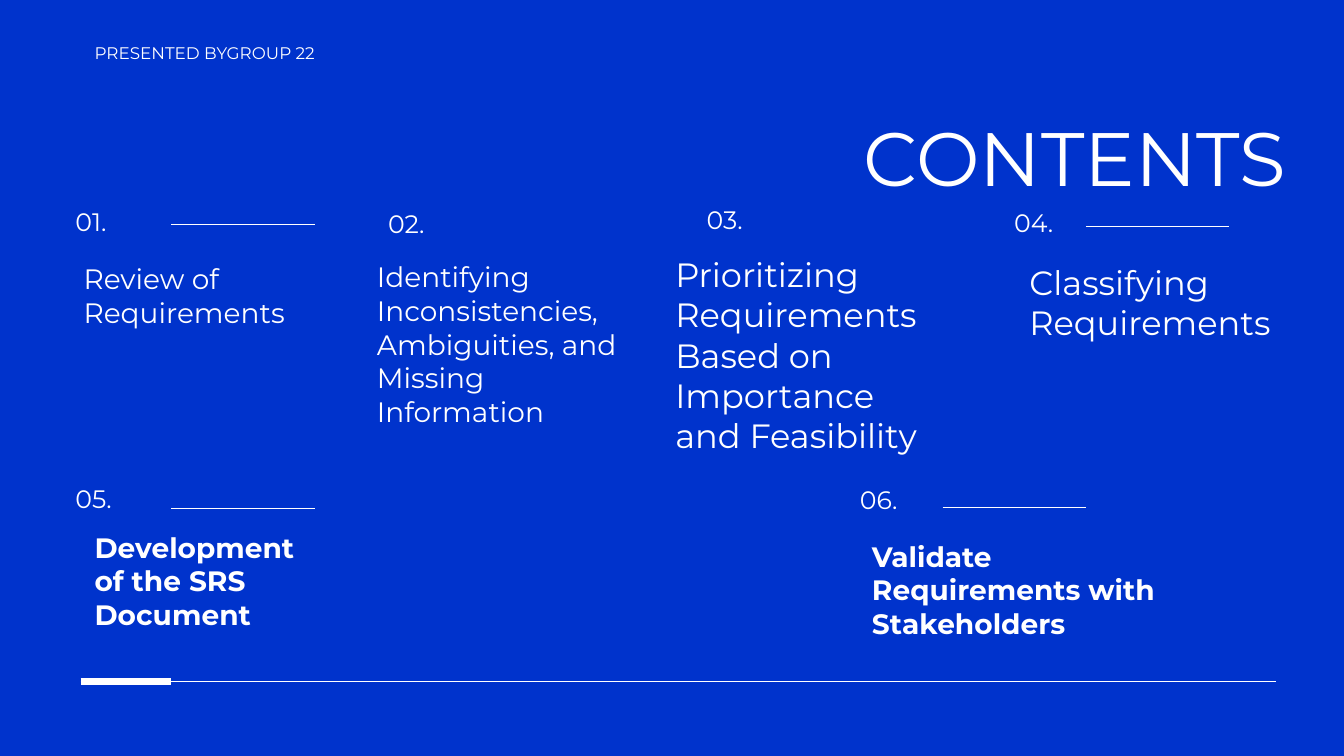
from dataclasses import dataclass
from typing import Optional

from lxml import etree
from pptx import Presentation
from pptx.dml.color import RGBColor
from pptx.enum.shapes import MSO_CONNECTOR as Connector
from pptx.enum.text import MSO_ANCHOR as Anchor, MSO_AUTO_SIZE as AutoSize, PP_ALIGN as Align
from pptx.oxml.ns import qn
from pptx.util import Inches, Pt

WIDTH, HEIGHT = 13.33, 7.5
BLUE, WHITE = "0033CC", "FFFFFF"
FONT = "Montserrat"
RULE_LENGTH = 1.42


@dataclass
class Topic:
    """One entry; text and rule offsets are measured from its corner."""
    corner: tuple
    title: str
    text_offset: tuple
    text_size: tuple
    rule_offset: Optional[tuple] = None
    points: int = 20
    bold: bool = False


TOPICS = [
    Topic((0.65, 2), "Review of Requirements", (0.08, 0.55), (2.28, 1.1), (1.05, 0.23)),
    Topic((3.75, 2.02), "Identifying Inconsistencies, Ambiguities, and Missing Information",
          (-0.11, 0.51), (2.76, 1.48)),
    Topic((6.91, 1.98), "Prioritizing Requirements Based on Importance and Feasibility",
          (-0.31, 0.49), (2.75, 2.12), points=24),
    Topic((9.96, 2.01), "Classifying Requirements", (0.15, 0.54), (2.75, 0.91),
          (0.81, 0.24), points=24),
    Topic((0.65, 4.75), "Development of the SRS Document", (0.19, 0.46), (2.5, 1.11),
          (1.05, 0.29), bold=True),
    Topic((8.43, 4.76), "Validate Requirements with Stakeholders", (0.12, 0.54), (3.28, 1.11),
          (0.92, 0.27), bold=True),
]


def color(value):
    return RGBColor.from_string(value)


def write(shape, text, points, bold=False):
    frame = shape.text_frame
    for name, value in {"word_wrap": True, "auto_size": AutoSize.NONE,
                        "vertical_anchor": Anchor.TOP}.items():
        setattr(frame, name, value)
    para = frame.paragraphs[0]
    para.alignment = Align.LEFT
    span = para.add_run()
    span.text = text
    for name, value in {"name": FONT, "size": Pt(points), "bold": bold}.items():
        setattr(span.font, name, value)
    span.font.color.rgb = color(WHITE)


def add_text(page, box, text, points, bold=False):
    shape = page.shapes.add_textbox(*map(Inches, box))
    write(shape, text, points, bold)


def add_rule(page, left, top, length, points=0.5):
    rule = page.shapes.add_connector(
        Connector.STRAIGHT, *map(Inches, (left, top, left + length, top)))
    rule.line.color.rgb = color(WHITE)
    rule.line.width = Pt(points)
    etree.SubElement(rule._element.spPr, qn("a:effectLst"))


def add_header(page, box):
    left, top, width, height = box
    add_text(page, (left, top, 2.5, 0.3), "PRESENTED BYGROUP 22", 12)
    # Title sits at the right, below the presenter line
    title = page.shapes.title
    title_box = {"left": left + 7.62, "top": top + 0.68,
                 "width": width - 7.62, "height": height - 0.68}
    for name, value in title_box.items():
        setattr(title, name, Inches(value))
    write(title, "CONTENTS", 54)


def add_topic(page, number, topic):
    left, top = topic.corner
    add_text(page, (left, top, 0.69, 0.4), f"{number:02}.", 18)
    shift, drop = topic.text_offset
    add_text(page, (left + shift, top + drop, *topic.text_size),
             topic.title, topic.points, topic.bold)
    if topic.rule_offset:
        shift, drop = topic.rule_offset
        add_rule(page, left + shift, top + drop, RULE_LENGTH)


def add_progress(page, left, top, length):
    add_rule(page, left, top, length)
    add_rule(page, left, top, 0.9, points=5)


def build_contents(deck):
    page = deck.slides.add_slide(deck.slide_layouts[5])
    page.background.fill.solid()
    page.background.fill.fore_color.rgb = color(BLUE)
    add_header(page, (0.84, 0.37, 12.4, 1.69))
    for number, topic in enumerate(TOPICS, start=1):
        add_topic(page, number, topic)
    add_progress(page, 0.8, 6.76, 11.86)


def main():
    deck = Presentation()
    deck.slide_width, deck.slide_height = Inches(WIDTH), Inches(HEIGHT)
    build_contents(deck)
    deck.save("out.pptx")


if __name__ == "__main__":
    main()
